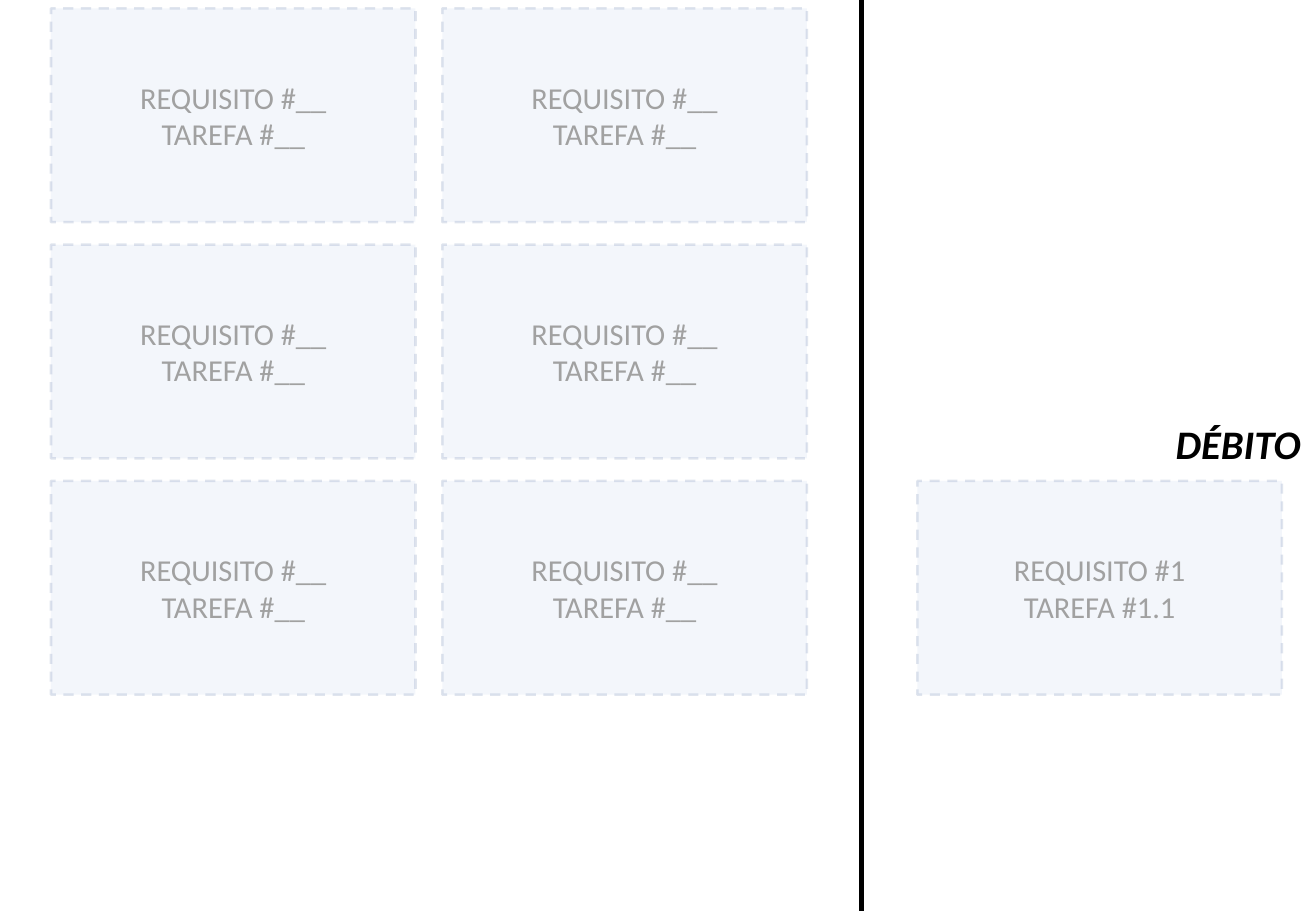
from lxml.etree import SubElement
from pptx import Presentation
from pptx.dml.color import RGBColor
from pptx.enum.dml import MSO_LINE
from pptx.enum.shapes import MSO_CONNECTOR, MSO_SHAPE
from pptx.enum.text import MSO_ANCHOR, PP_ALIGN
from pptx.oxml.ns import qn
from pptx.util import Inches, Pt

BLANK_CARD = ["REQUISITO #__", "TAREFA #__"]
DEBT_CARD = ["REQUISITO #1", "TAREFA #1.1"]
DEBT_TITLE = ["DÉBITO"]
COLORS = {"card": "B4C7E7", "border": "325491", "text": "A1A1A1", "black": "000000"}
FONT = "Calibri"
OPACITY = 15

SLIDE_W, SLIDE_H = 10.83, 7.5
COLS, ROWS = 2, 3
LEFT, TOP = 0.42, 0.07
CARD_W, CARD_H = 3, 1.76
STEP_X, STEP_Y = 3.22, 1.945
DIVIDER_X, DEBT_X = 7.09, 7.55


def rgb(name):
    return RGBColor.from_string(COLORS[name])


def add_alpha(fill_parent):
    color = fill_parent.find(qn("a:solidFill")).find(qn("a:srgbClr"))
    SubElement(color, qn("a:alpha"), val=str(OPACITY * 1000))


def write(shape, lines, size, color, bold=False, italic=False):
    tf = shape.text_frame
    tf.word_wrap = True
    tf.vertical_anchor = MSO_ANCHOR.MIDDLE
    for i, line in enumerate(lines):
        p = tf.add_paragraph() if i else tf.paragraphs[0]
        p.text = line
        p.alignment = PP_ALIGN.CENTER
        p.font.name = FONT
        p.font.size = Pt(size)
        p.font.bold = bold
        p.font.italic = italic
        p.font.color.rgb = rgb(color)


def add_card(s, x, row, lines):
    card = s.shapes.add_shape(MSO_SHAPE.RECTANGLE, Inches(x), Inches(TOP + row * STEP_Y),
                              Inches(CARD_W), Inches(CARD_H))
    card.shadow.inherit = False
    card.fill.solid()
    card.fill.fore_color.rgb = rgb("card")
    card.line.color.rgb = rgb("border")
    card.line.width = Pt(1.5)
    card.line.dash_style = MSO_LINE.DASH
    sp_pr = card._element.spPr
    add_alpha(sp_pr)
    add_alpha(sp_pr.find(qn("a:ln")))
    write(card, lines, 18, "text")


prs = Presentation()
prs.slide_width, prs.slide_height = Inches(SLIDE_W), Inches(SLIDE_H)
s = prs.slides.add_slide(prs.slide_layouts[6])

divider = s.shapes.add_connector(MSO_CONNECTOR.STRAIGHT, Inches(DIVIDER_X), 0,
                                 Inches(DIVIDER_X), Inches(SLIDE_H))
divider.line.color.rgb = rgb("black")
divider.line.width = Pt(3)
SubElement(divider._element.spPr, qn("a:effectLst"))

for row in range(ROWS):
    for col in range(COLS):
        add_card(s, LEFT + col * STEP_X, row, BLANK_CARD)

title = s.shapes.add_textbox(Inches(8.69), Inches(3.27), Inches(3), Inches(0.76))
write(title, DEBT_TITLE, 24, "black", bold=True, italic=True)
add_card(s, DEBT_X, ROWS - 1, DEBT_CARD)

prs.save("out.pptx")
